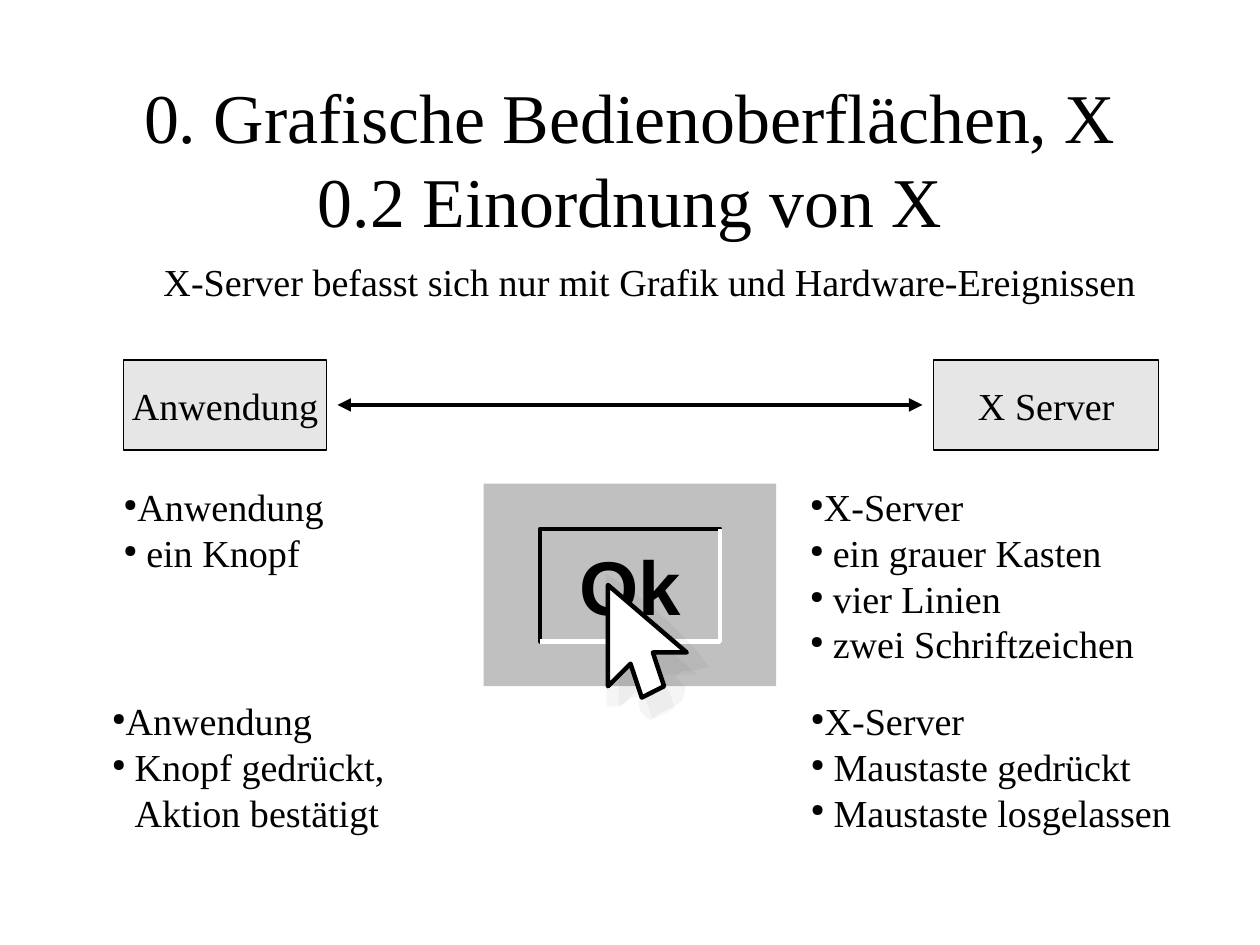
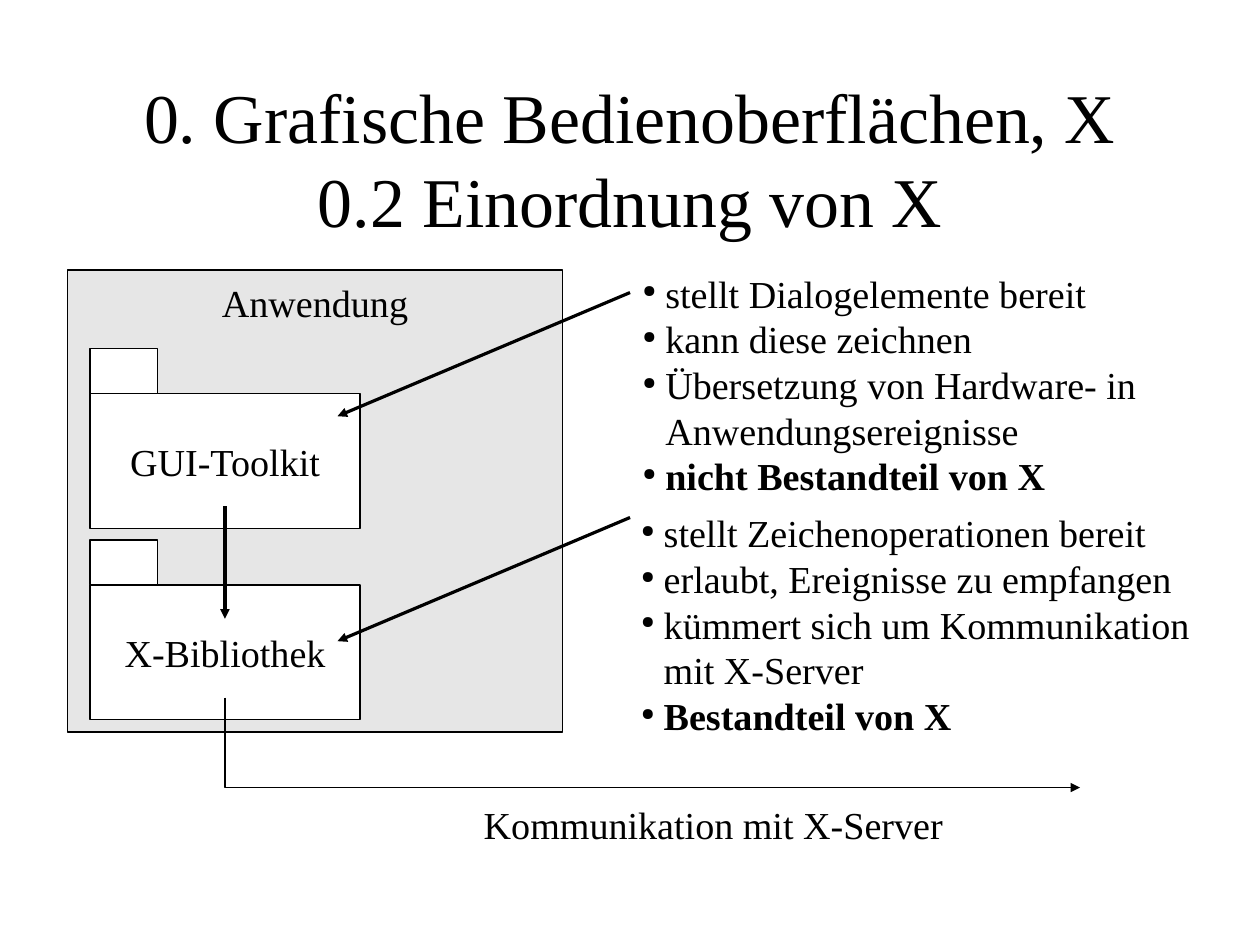
"""Build two slides that place X between an application and the X server."""
from lxml import etree
from pptx import Presentation
from pptx.dml.color import RGBColor
from pptx.enum import shapes, text
from pptx.oxml import ns
from pptx.util import Pt

BLACK = RGBColor(0x00, 0x00, 0x00)
WHITE = RGBColor(0xFF, 0xFF, 0xFF)
PALE = RGBColor(0xE6, 0xE6, 0xE6)
GREY = RGBColor(0xC0, 0xC0, 0xC0)
SERIF = "Times New Roman"
HEADING = "0. Grafische Bedienoberflächen, X\v0.2 Einordnung von X"
RECT = shapes.MSO_SHAPE.RECTANGLE
STRAIGHT = shapes.MSO_CONNECTOR.STRAIGHT
LEFT, CENTER = text.PP_ALIGN.LEFT, text.PP_ALIGN.CENTER
TOP, MIDDLE = text.MSO_ANCHOR.TOP, text.MSO_ANCHOR.MIDDLE


def write(holder, lines, size=24, font=SERIF, align=CENTER, anchor=MIDDLE,
          inset=0, indents=None, bold=()):
    """Fill a text frame, with bullets when indents are given."""
    frame = holder.text_frame
    frame.word_wrap = True
    frame.auto_size = text.MSO_AUTO_SIZE.NONE
    frame.vertical_anchor = anchor
    frame.margin_left = frame.margin_right = Pt(inset)
    frame.margin_top = frame.margin_bottom = Pt(inset)
    frame.text = "\n".join(lines)
    for number, paragraph in enumerate(frame.paragraphs):
        paragraph.alignment = align
        paragraph.space_before = Pt(0)
        if indents:
            indent = indents[min(number, len(indents) - 1)]
            props = paragraph._p.get_or_add_pPr()
            props.set("marL", str(Pt(indent)))
            props.set("indent", str(-Pt(indent)))
            colour = etree.SubElement(props, ns.qn("a:buClr"))
            etree.SubElement(colour, ns.qn("a:srgbClr"), val=str(BLACK))
            etree.SubElement(props, ns.qn("a:buSzPct"), val="45000")
            etree.SubElement(props, ns.qn("a:buChar"), char="●")
        paragraph.font.name = font
        paragraph.font.size = Pt(size)
        paragraph.font.bold = lines[number] in bold
        paragraph.font.color.rgb = BLACK


def style(item, fill=None, line=None, width=0, heads=(), alpha=None):
    """Set fill, outline and arrowheads and drop the shadow."""
    if hasattr(item, "fill"):
        item.shadow.inherit = False
        if fill is None:
            item.fill.background()
        else:
            item.fill.solid()
            item.fill.fore_color.rgb = fill
    if line is None:
        item.line.fill.background()
    else:
        item.line.color.rgb = line
        item.line.width = Pt(width)
    for head in heads:
        etree.SubElement(item.line._get_or_add_ln(), ns.qn(head), type="triangle")
    if not hasattr(item, "fill"):
        etree.SubElement(item._element.spPr, ns.qn("a:effectLst"))
    if alpha:
        colour = item._element.spPr.find(".//" + ns.qn("a:srgbClr"))
        etree.SubElement(colour, ns.qn("a:alpha"), val=str(alpha * 1000))


deck = Presentation()
deck.slide_width, deck.slide_height = Pt(793.7), Pt(595.28)
title_only = deck.slide_layouts[5]
heading = title_only.placeholders[0]
heading.left, heading.top, heading.width, heading.height = map(Pt, (58.3, 49.6, 677.5, 99.2))

server_slide, toolkit_slide = [deck.slides.add_slide(title_only) for _ in range(2)]
for slide in deck.slides:
    write(slide.shapes.title, [HEADING], size=44)

canvas = server_slide.shapes
for caption, left, width in (("Anwendung", 77.95, 127.6), ("X Server", 588.2, 141.7)):
    partner = canvas.add_shape(RECT, Pt(left), Pt(226.8), Pt(width), Pt(56.7))
    style(partner, PALE, BLACK)
    write(partner, [caption])

exchange = canvas.add_connector(STRAIGHT, Pt(212.6), Pt(255.1), Pt(581.1), Pt(255.1))
style(exchange, line=BLACK, width=2.83, heads=("a:headEnd", "a:tailEnd"))

summary = canvas.add_textbox(Pt(103), Pt(162.7), Pt(640), Pt(35.3))
write(summary, ["X-Server befasst sich nur mit Grafik und Hardware-Ereignissen"],
      align=LEFT, anchor=TOP)

views = (
    (77.95, 304.7, ["Anwendung", "ein Knopf"]),
    (510.4, 304.7, ["X-Server", "ein grauer Kasten", "vier Linien", "zwei Schriftzeichen"]),
    (70.6, 439.4, ["Anwendung", "Knopf gedrückt,\vAktion bestätigt"]),
    (510.9, 439.4, ["X-Server", "Maustaste gedrückt", "Maustaste losgelassen"]),
)
for left, top, points in views:
    view = canvas.add_textbox(Pt(left), Pt(top), Pt(254.9), Pt(127.6))
    write(view, points, align=LEFT, anchor=TOP, indents=(0, 14.2))

window = canvas.add_shape(RECT, Pt(304.7), Pt(304.7), Pt(184.3), Pt(127.6))
style(window, GREY)
button = canvas.add_shape(RECT, Pt(340.2), Pt(333.1), Pt(113.4), Pt(70.9))
style(button, GREY, BLACK, 2.83)
write(button, ["Ok"], size=48, font="Arial", inset=1.4, bold=("Ok",))
edge = canvas.build_freeform(Pt(340.2), Pt(404))
edge.add_line_segments([(Pt(453.6), Pt(404)), (Pt(453.6), Pt(333.1))], close=False)
style(edge.convert_to_shape(), line=WHITE, width=2.83)

pointer = [(0, 63.8), (0, 0), (49.6, 42.5), (28.3, 42.5), (35.4, 63.8),
           (21.3, 70.9), (14.2, 49.6)]
start = (382.3, 445)
curves = (
    ((381.6, 418.3), (380.2, 382.3), (381.6, 361.4)),
    ((395.3, 368.6), (430.6, 396.7), (446.4, 419.8)),
    ((432, 425.5), (431.3, 419), (425.5, 427)),
    ((430.6, 432), (433.4, 430.6), (430.6, 439.2)),
    ((429.1, 445.7), (416.9, 446.4), (409.7, 453.6)),
    ((401.8, 448.6), (402.5, 446.4), (402.5, 439.2)),
    ((394.6, 437), (396.7, 446.4), (382.3, 445)),
)
blur = [start]
for near, far, end in curves:
    origin = blur[-1]
    for step in range(1, 9):
        t = step / 8
        blur.append(tuple(
            (1 - t) ** 3 * a + 3 * (1 - t) ** 2 * t * b + 3 * (1 - t) * t ** 2 * c + t ** 3 * d
            for a, b, c, d in zip(origin, near, far, end)))

shade = [(389.8 + x, 382.4 + y) for x, y in pointer]
cursor = [(383, 368.5 + 0) if (x, y) == (0, 0) else (383 + x, 368.5 + y) for x, y in pointer]
for outline, fill, line, alpha in ((shade, BLACK, None, 3), (blur, BLACK, None, 4),
                                   (cursor, WHITE, BLACK, None)):
    corners = [(Pt(x), Pt(y)) for x, y in outline]
    shape = canvas.build_freeform(*corners[0])
    shape.add_line_segments(corners[1:], close=True)
    style(shape.convert_to_shape(), fill, line, 2.83, alpha=alpha)

canvas = toolkit_slide.shapes
application = canvas.add_shape(RECT, Pt(42.5), Pt(170.1), Pt(311.8), Pt(291))
style(application, PALE, BLACK)
write(application, ["Anwendung"], anchor=TOP, inset=5.7)

for caption, top in (("X-Bibliothek", 340.2), ("GUI-Toolkit", 219.7)):
    package = canvas.add_shape(RECT, Pt(56.7), Pt(top + 28.3), Pt(170.1), Pt(85))
    style(package, WHITE, BLACK)
    write(package, [caption])
    tab = canvas.add_shape(RECT, Pt(56.7), Pt(top), Pt(42.5), Pt(28.3))
    style(tab, WHITE, BLACK)

for ends in ((141.7, 318.9, 141.7, 389.8), (396.9, 184.3, 212.6, 262.2),
             (396.9, 326, 212.6, 403.9)):
    arrow = canvas.add_connector(STRAIGHT, *map(Pt, ends))
    style(arrow, line=BLACK, heads=("a:tailEnd",))

channel = canvas.build_freeform(Pt(141.7), Pt(439.4))
channel.add_line_segments([(Pt(141.7), Pt(496.1)), (Pt(680.3), Pt(496.1))], close=False)
style(channel.convert_to_shape(), line=BLACK, heads=("a:tailEnd",))
channel_label = canvas.add_textbox(Pt(304.7), Pt(504.6), Pt(326), Pt(26.6))
write(channel_label, ["Kommunikation mit X-Server"], align=LEFT, anchor=TOP)

duties = (
    (404.9, 170.1, ["stellt Dialogelemente bereit", "kann diese zeichnen",
                    "Übersetzung von Hardware- in\vAnwendungsereignisse",
                    "nicht Bestandteil von X"]),
    (403.9, 321, ["stellt Zeichenoperationen bereit", "erlaubt, Ereignisse zu empfangen",
                  "kümmert sich um Kommunikation\vmit X-Server", "Bestandteil von X"]),
)
for left, top, points in duties:
    duty = canvas.add_textbox(Pt(left), Pt(top), Pt(374), Pt(132.5))
    write(duty, points, align=LEFT, anchor=TOP, indents=(14.2,), bold=points[-1:])

deck.save("out.pptx")
